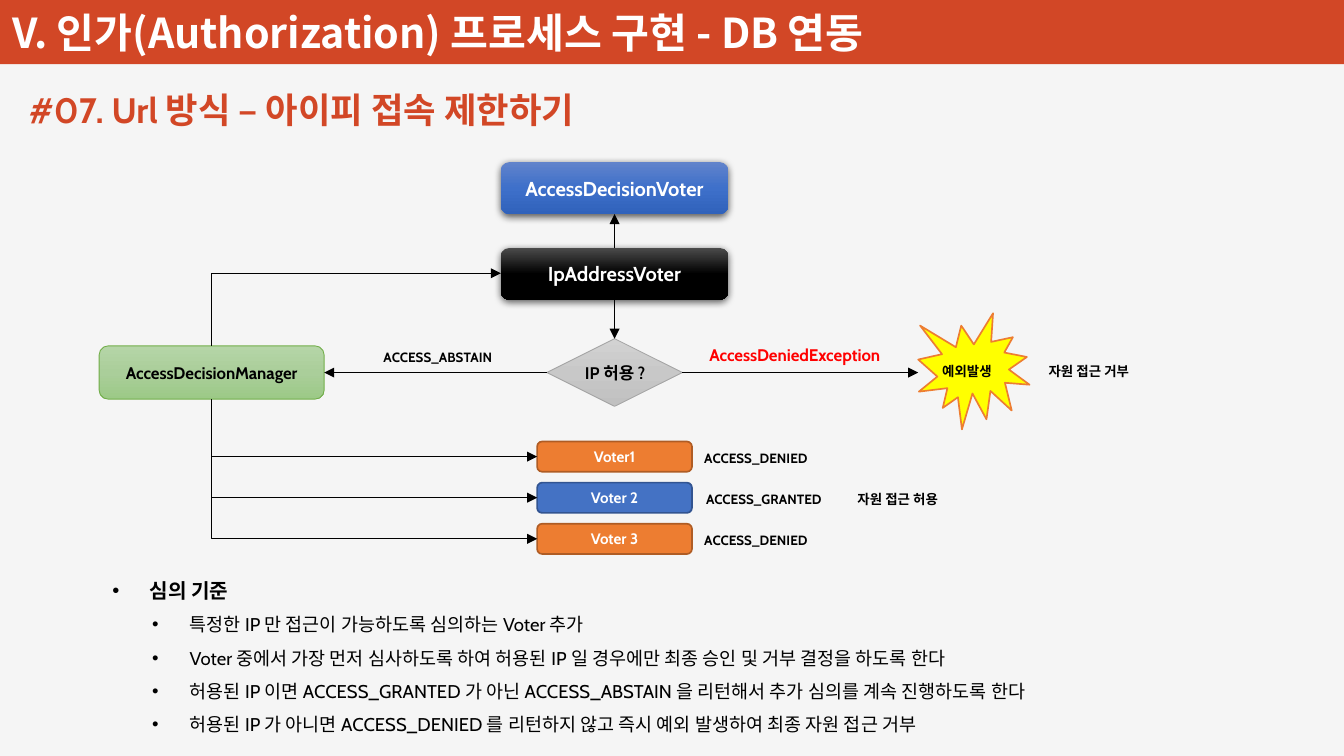
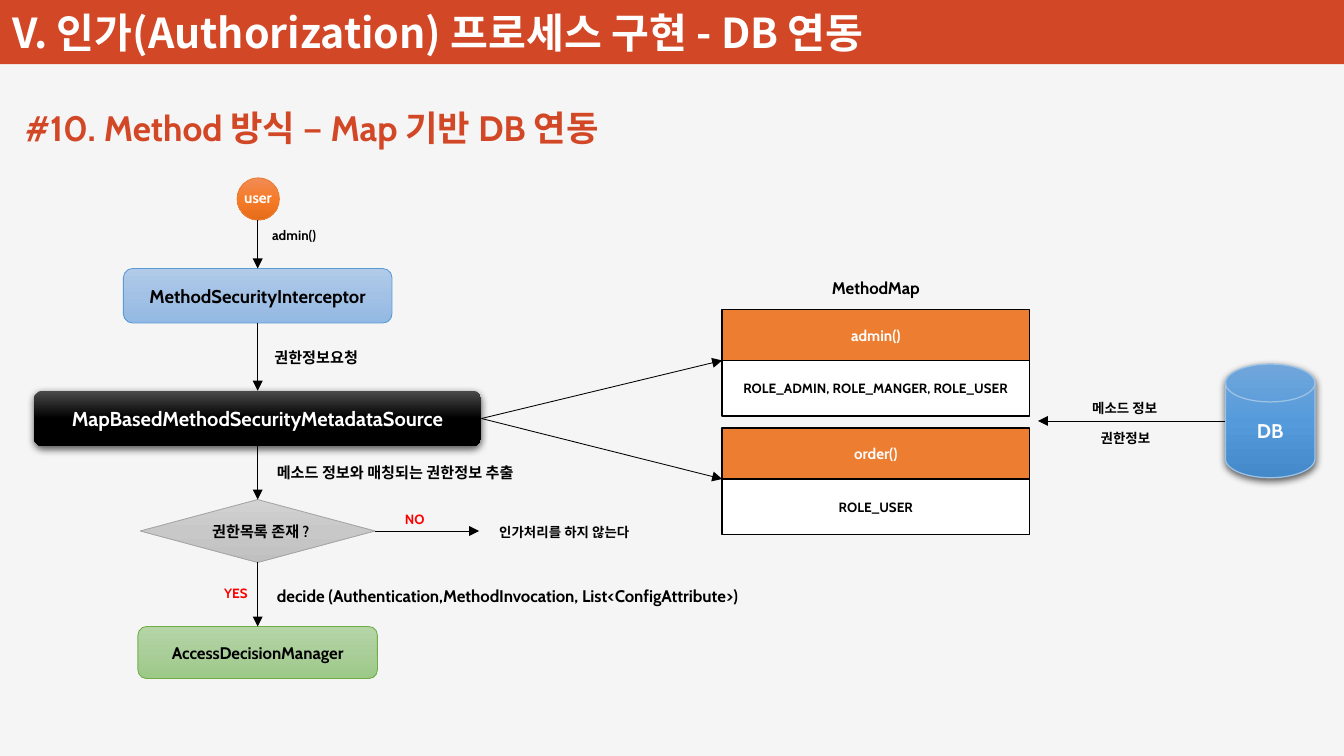
from lxml.etree import SubElement
from pptx import Presentation
from pptx.dml.color import RGBColor
from pptx.enum.shapes import MSO_CONNECTOR, MSO_SHAPE
from pptx.enum.text import MSO_ANCHOR, MSO_AUTO_SIZE, PP_ALIGN
from pptx.oxml.ns import qn
from pptx.util import Inches, Pt

COLORS = {
    "page": "F5F5F5", "brick": "D24726", "white": "FFFFFF", "black": "000000",
    "red": "FF0000", "yellow": "FFFF00", "orange": "ED7D31", "blue": "4472C4",
    "dark_orange": "AF5C24", "dark_blue": "325491", "green_line": "70AD47",
    "gray_line": "A5A5A5", "sky_line": "5B9BD5", "disk_line": "9DC3E6",
}
GRADIENTS = {
    "black": ("4B4B4B", "000000", "000000"),
    "blue": ("6183CB", "3E70CA", "3062BB"),
    "green": ("B5D5A7", "AACE9A", "9CC987"),
    "gray": ("D2D2D2", "C8C8C8", "C0C0C0"),
    "sky": ("B1CBE9", "A3C1E5", "93B9E4"),
    "disk": ("71A6DB", "559BDB", "448ACA"),
    "orange": ("F18C57", "F67B28", "E56C19"),
}
# Each look: fill or gradient, outline colour and width, shadow, text colour
LOOKS = {
    "key": {"gradient": "black", "shadow": True, "text": "white"},
    "parent": {"gradient": "blue", "shadow": True, "text": "white"},
    "manager": {"gradient": "green", "line": ("green_line", 0.5)},
    "decision": {"gradient": "gray", "line": ("gray_line", 0.5)},
    "interceptor": {"gradient": "sky", "line": ("sky_line", 0.5)},
    "database": {"gradient": "disk", "line": ("disk_line", 0.75), "shadow": True, "text": "white"},
    "user": {"gradient": "orange", "line": ("orange", 0.5)},
    "burst": {"fill": "yellow", "line": ("orange", 1)},
    "denying": {"fill": "orange", "line": ("dark_orange", 1), "text": "white"},
    "granting": {"fill": "blue", "line": ("dark_blue", 1), "text": "white"},
    "map_key": {"fill": "orange", "line": ("black", 1), "text": "white"},
    "map_value": {"fill": "white", "line": ("black", 1)},
    "band": {"fill": "brick"},
}
LATIN_FONT, KOREAN_FONT = "Cabin", "Noto Sans CJK KR"
LABEL_HEIGHTS = {8: 0.24, 9: 0.25, 10: 0.27, 21: 0.45}
TOP, LEFT, BOTTOM, RIGHT = range(4)
CHAPTER = "V. 인가(Authorization) 프로세스 구현 - DB 연동"

# Nodes: name, look, preset, (left, top, width, height), text, size
# Labels: text, left, top, width, size, colour, centred
# Arrows: two ends, each (node name, side) or (x, y)
IP_SLIDE = {
    "title": ("#07. Url 방식 – 아이피 접속 제한하기", 0.14, 0.68, 5.08),
    "nodes": [
        ("parent", "parent", MSO_SHAPE.ROUNDED_RECTANGLE, (4.14, 1.34, 1.88, 0.43), "AccessDecisionVoter", 12),
        ("voter", "key", MSO_SHAPE.ROUNDED_RECTANGLE, (4.14, 2.05, 1.88, 0.43), "IpAddressVoter", 12),
        ("manager", "manager", MSO_SHAPE.ROUNDED_RECTANGLE, (0.82, 2.86, 1.86, 0.44), "AccessDecisionManager", 10),
        ("decision", "decision", MSO_SHAPE.FLOWCHART_DECISION, (4.52, 2.8, 1.12, 0.56), "", 10),
        ("burst", "burst", MSO_SHAPE.EXPLOSION1, (7.59, 2.59, 0.92, 0.96), "", 8),
    ],
    "labels": [
        ("IP 허용 ?", 4.71, 2.95, 0.75, 10, "black", True),
        ("ACCESS_ABSTAIN", 3.05, 2.84, 1.14, 8, "black", True),
        ("AccessDeniedException", 5.7, 2.8, 1.74, 10, "red", True),
        ("예외발생", 7.69, 2.95, 0.65, 8, "black", False),
        ("자원 접근 거부", 8.57, 2.95, 0.97, 8, "black", False),
        ("자원 접근 허용", 6.99, 4.01, 0.97, 8, "black", False),
    ],
    "arrows": [
        (("voter", TOP), ("parent", BOTTOM)),
        (("voter", BOTTOM), ("decision", TOP)),
        (("decision", LEFT), ("manager", RIGHT)),
        (("decision", RIGHT), (7.59, 3.08)),
    ],
}
VOTERS = [
    ("Voter1", "denying", "ACCESS_DENIED", 1.06),
    ("Voter 2", "granting", "ACCESS_GRANTED", 1.19),
    ("Voter 3", "denying", "ACCESS_DENIED", 1.06),
]
CRITERIA = [
    "심의 기준",
    "특정한 IP 만 접근이 가능하도록 심의하는 Voter 추가",
    "Voter 중에서 가장 먼저 심사하도록 하여 허용된 IP 일 경우에만 최종 승인 및 거부 결정을 하도록 한다",
    "허용된 IP 이면 ACCESS_GRANTED 가 아닌 ACCESS_ABSTAIN 을 리턴해서 추가 심의를 계속 진행하도록 한다",
    "허용된 IP 가 아니면 ACCESS_DENIED 를 리턴하지 않고 즉시 예외 발생하여 최종 자원 접근 거부",
]
METHOD_SLIDE = {
    "title": ("#10. Method 방식 – Map 기반 DB 연동", 0.11, 0.83, 5.57),
    "nodes": [
        ("user", "user", MSO_SHAPE.OVAL, (1.96, 1.47, 0.35, 0.35), "", 9),
        ("interceptor", "interceptor", MSO_SHAPE.ROUNDED_RECTANGLE, (1.02, 2.22, 2.22, 0.45),
         "MethodSecurityInterceptor", 11),
        ("source", "key", MSO_SHAPE.ROUNDED_RECTANGLE, (0.28, 3.23, 3.7, 0.46),
         "MapBasedMethodSecurityMetadataSource", 12),
        ("decision", "decision", MSO_SHAPE.DIAMOND, (1.16, 4.13, 1.94, 0.52), "", 9),
        ("manager", "manager", MSO_SHAPE.ROUNDED_RECTANGLE, (1.14, 5.18, 1.98, 0.43), "AccessDecisionManager", 10),
        ("database", "database", MSO_SHAPE.FLOWCHART_MAGNETIC_DISK, (10.13, 3.01, 0.74, 0.94), "DB", 11.8),
    ],
    "labels": [
        ("user", 1.92, 1.51, 0.45, 9, "white", False),
        ("admin()", 2.15, 1.83, 0.62, 8, "black", False),
        ("권한정보요청", 2.17, 2.83, 0.96, 9, "black", False),
        ("메소드 정보와 매칭되는 권한정보 추출", 2.19, 3.78, 2.36, 9, "black", False),
        ("권한목록 존재 ?", 1.61, 4.27, 1.09, 9, "black", True),
        ("NO", 3.18, 4.18, 0.5, 8, "red", True),
        ("인가처리를 하지 않는다", 3.97, 4.28, 1.39, 8, "black", True),
        ("YES", 1.65, 4.79, 0.6, 8, "red", True),
        ("decide (Authentication,MethodInvocation, List<ConfigAttribute>)", 2.19, 4.79, 4.51, 10, "black", False),
        ("MethodMap", 6.57, 2.25, 1.34, 10, "black", True),
        ("메소드 정보", 8.93, 3.26, 0.79, 8, "black", False),
        ("권한정보", 9, 3.51, 0.65, 8, "black", False),
    ],
    "arrows": [
        ((2.13, 1.82), ("interceptor", TOP)),
        (("interceptor", BOTTOM), ("source", TOP)),
        (("source", BOTTOM), ("decision", TOP)),
        (("decision", BOTTOM), ("manager", TOP)),
        (("decision", RIGHT), (3.96, 4.39)),
        ((10.13, 3.48), (8.58, 3.48)),
    ],
}
METHOD_MAP = [("admin()", "ROLE_ADMIN, ROLE_MANGER, ROLE_USER"), ("order()", "ROLE_USER")]


def rgb(name):
    return RGBColor.from_string(COLORS[name])


def write(paragraph, text, size, color, bold=True, latin=LATIN_FONT):
    run = paragraph.add_run()
    run.text = text
    for name, value in {"size": Pt(size), "bold": bold, "name": latin}.items():
        setattr(run.font, name, value)
    run.font.color.rgb = rgb(color)
    SubElement(run.font._element, qn("a:ea"), typeface=KOREAN_FONT)


def add_color(parent, value):
    return SubElement(parent, qn("a:srgbClr"), val=value)


def fill_gradient(shape, stops):
    shape.fill.background()
    properties = shape._element.spPr
    empty_fill = properties.find(qn("a:noFill"))
    gradient = SubElement(properties, qn("a:gradFill"), rotWithShape="1")
    properties.replace(empty_fill, gradient)
    stop_list = SubElement(gradient, qn("a:gsLst"))
    for index, value in enumerate(stops):
        add_color(SubElement(stop_list, qn("a:gs"), pos=str(index * 50000)), value)
    SubElement(gradient, qn("a:lin"), ang="5400000", scaled="0")


def add_node(slide, look_name, preset, box, text="", size=10):
    look = LOOKS[look_name]
    shape = slide.shapes.add_shape(preset, *map(Inches, box))
    if "gradient" in look:
        fill_gradient(shape, GRADIENTS[look["gradient"]])
    else:
        shape.fill.solid()
        shape.fill.fore_color.rgb = rgb(look["fill"])
    if "line" in look:
        color, width = look["line"]
        shape.line.color.rgb = rgb(color)
        shape.line.width = Pt(width)
    else:
        shape.line.fill.background()
    shape.shadow.inherit = False
    if look.get("shadow"):
        effects = shape._element.spPr.find(qn("a:effectLst"))
        shadow = SubElement(effects, qn("a:outerShdw"), blurRad=str(Pt(4.5)), dist=str(Pt(1.5)),
                            dir="5400000", algn="ctr", rotWithShape="0")
        SubElement(add_color(shadow, COLORS["black"]), qn("a:alpha"), val="63000")
    if text:
        paragraph = shape.text_frame.paragraphs[0]
        paragraph.alignment = PP_ALIGN.CENTER
        write(paragraph, text, size, look.get("text", "black"))
    return shape


def add_frame(slide, box, **settings):
    """Add a text box and return its text frame with the given settings."""
    frame = slide.shapes.add_textbox(*map(Inches, box)).text_frame
    for name, value in settings.items():
        setattr(frame, name, value)
    return frame


def add_label(slide, text, left, top, width, size, color, centred):
    frame = add_frame(slide, (left, top, width, LABEL_HEIGHTS[size]),
                      word_wrap=False, auto_size=MSO_AUTO_SIZE.SHAPE_TO_FIT_TEXT)
    paragraph = frame.paragraphs[0]
    paragraph.alignment = PP_ALIGN.CENTER if centred else PP_ALIGN.LEFT
    write(paragraph, text, size, color)


def add_connector(slide, kind, start, end):
    connector = slide.shapes.add_connector(kind, *map(Inches, (*start, *end)))
    connector.line.color.rgb = rgb("black")
    connector.line.width = Pt(0.5)
    SubElement(connector.line._get_or_add_ln(), qn("a:tailEnd"), type="triangle")
    SubElement(connector._element.spPr, qn("a:effectLst"))
    return connector


def add_arrow(slide, nodes, *ends):
    points = [(0, 0) if isinstance(end[0], str) else end for end in ends]
    connector = add_connector(slide, MSO_CONNECTOR.STRAIGHT, *points)
    for end, join in zip(ends, (connector.begin_connect, connector.end_connect)):
        if isinstance(end[0], str):
            join(nodes[end[0]], end[1])


def add_corner_arrow(slide, start, end):
    """Draw an arrow that runs vertically, then turns right to its end."""
    connector = add_connector(slide, MSO_CONNECTOR.ELBOW, start, end)
    (x1, y1), (x2, y2) = start, end
    width, height = abs(y2 - y1), x2 - x1
    box = {"left": (x1 + x2 - width) / 2, "top": (y1 + y2 - height) / 2, "width": width, "height": height}
    for name, value in box.items():
        setattr(connector, name, Inches(value))
    properties = connector._element.spPr
    properties.find(qn("a:prstGeom")).set("prst", "bentConnector2")
    upward = y2 < y1
    turn = {"rot": "5400000" if upward else "16200000", "flipH": "1", "flipV": "1" if upward else "0"}
    for name, value in turn.items():
        properties.find(qn("a:xfrm")).set(name, value)


def add_slide(presentation, content):
    """Add a slide with the shared band and titles, then its nodes, labels and arrows."""
    slide = presentation.slides.add_slide(presentation.slide_layouts[6])
    slide.background.fill.solid()
    slide.background.fill.fore_color.rgb = rgb("page")
    add_node(slide, "band", MSO_SHAPE.RECTANGLE, (0, 0, 11.11, 0.53))
    chapter = add_frame(slide, (0.01, -0.1, 8, 0.61), word_wrap=True, vertical_anchor=MSO_ANCHOR.BOTTOM,
                        margin_left=Inches(0.09), margin_right=Inches(0.09),
                        margin_top=Inches(0.04), margin_bottom=Inches(0.04))
    write(chapter.paragraphs[0], CHAPTER, 24.5, "white", latin=KOREAN_FONT)
    add_label(slide, *content["title"], 21, "brick", False)
    nodes = {name: add_node(slide, *node) for name, *node in content["nodes"]}
    for label in content["labels"]:
        add_label(slide, *label)
    for ends in content["arrows"]:
        add_arrow(slide, nodes, *ends)
    return slide, nodes


def add_voters(slide):
    left, first_top, step, height = 4.44, 3.65, 0.34, 0.25
    add_corner_arrow(slide, (1.75, 2.86), (4.14, 2.26))
    for index, (name, look, result, width) in enumerate(VOTERS):
        top = first_top + index * step
        add_node(slide, look, MSO_SHAPE.ROUNDED_RECTANGLE, (left, top, 1.28, height), name, 9)
        add_label(slide, result, 5.72, top + 0.02, width, 8, "black", True)
        add_corner_arrow(slide, (1.75, 3.3), (left, top + height / 2))


def add_criteria(slide):
    frame = add_frame(slide, (0.83, 4.63, 9.77, 1.48), word_wrap=True,
                      auto_size=MSO_AUTO_SIZE.SHAPE_TO_FIT_TEXT)
    for index, text in enumerate(CRITERIA):
        paragraph = frame.add_paragraph() if index else frame.paragraphs[0]
        heading = index == 0
        paragraph.level = 0 if heading else 1
        paragraph.line_spacing = 1.5
        properties = paragraph._element.get_or_add_pPr()
        properties.set("marL", str(Inches(0.31 if heading else 0.64)))
        properties.set("indent", str(Inches(-0.31)))
        SubElement(properties, qn("a:buFont"), typeface="Arial")
        SubElement(properties, qn("a:buChar"), char="•")
        write(paragraph, text, 12 if heading else 11, "black", bold=heading)


def add_method_map(slide, nodes):
    left, width, key_height, value_height = 5.97, 2.54, 0.42, 0.46
    for index, (method, roles) in enumerate(METHOD_MAP):
        top = 2.56 + index * 0.98
        middle = top + key_height
        add_node(slide, "map_value", MSO_SHAPE.FLOWCHART_PROCESS, (left, middle, width, value_height), roles, 8)
        add_node(slide, "map_key", MSO_SHAPE.RECTANGLE, (left, top, width, key_height), method, 9)
        add_arrow(slide, nodes, ("source", RIGHT), (left, middle))


def main():
    presentation = Presentation()
    presentation.slide_width, presentation.slide_height = Inches(11.11), Inches(6.25)
    ip_slide, _ = add_slide(presentation, IP_SLIDE)
    add_voters(ip_slide)
    add_criteria(ip_slide)
    add_method_map(*add_slide(presentation, METHOD_SLIDE))
    presentation.save("out.pptx")


if __name__ == "__main__":
    main()
